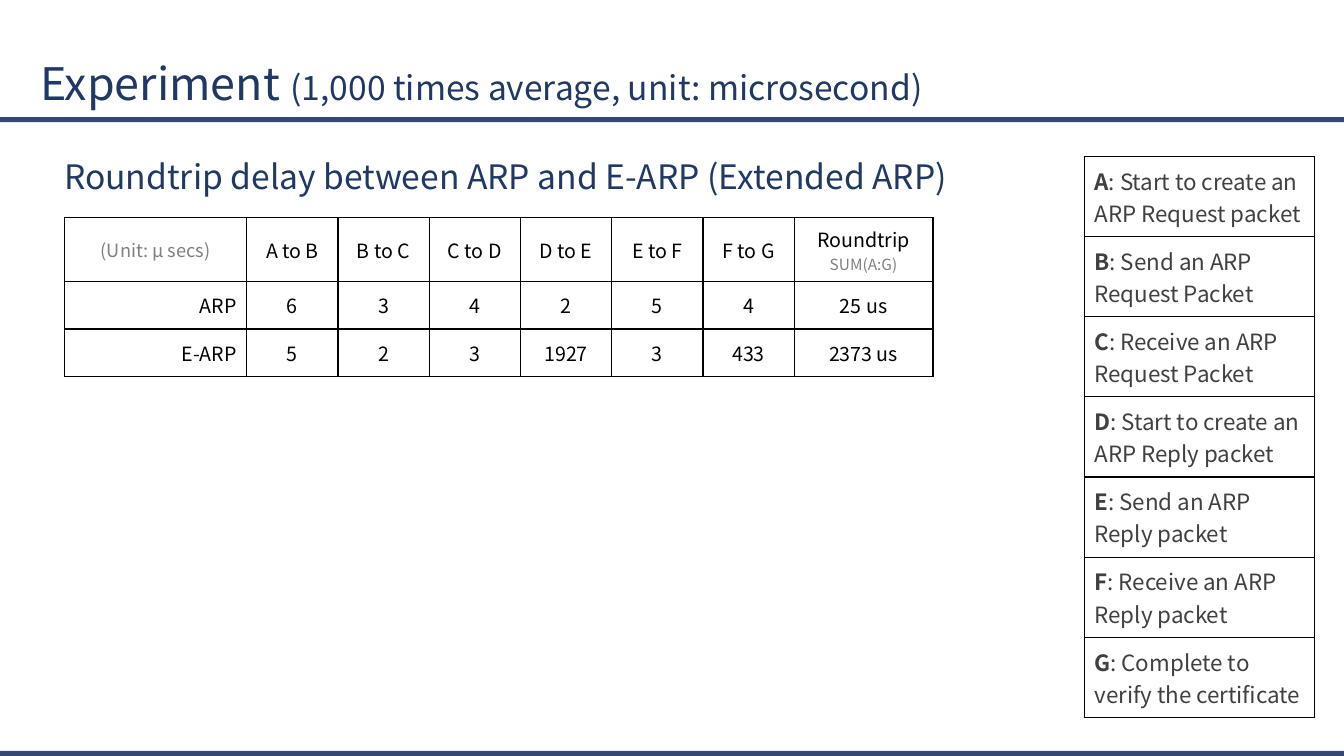
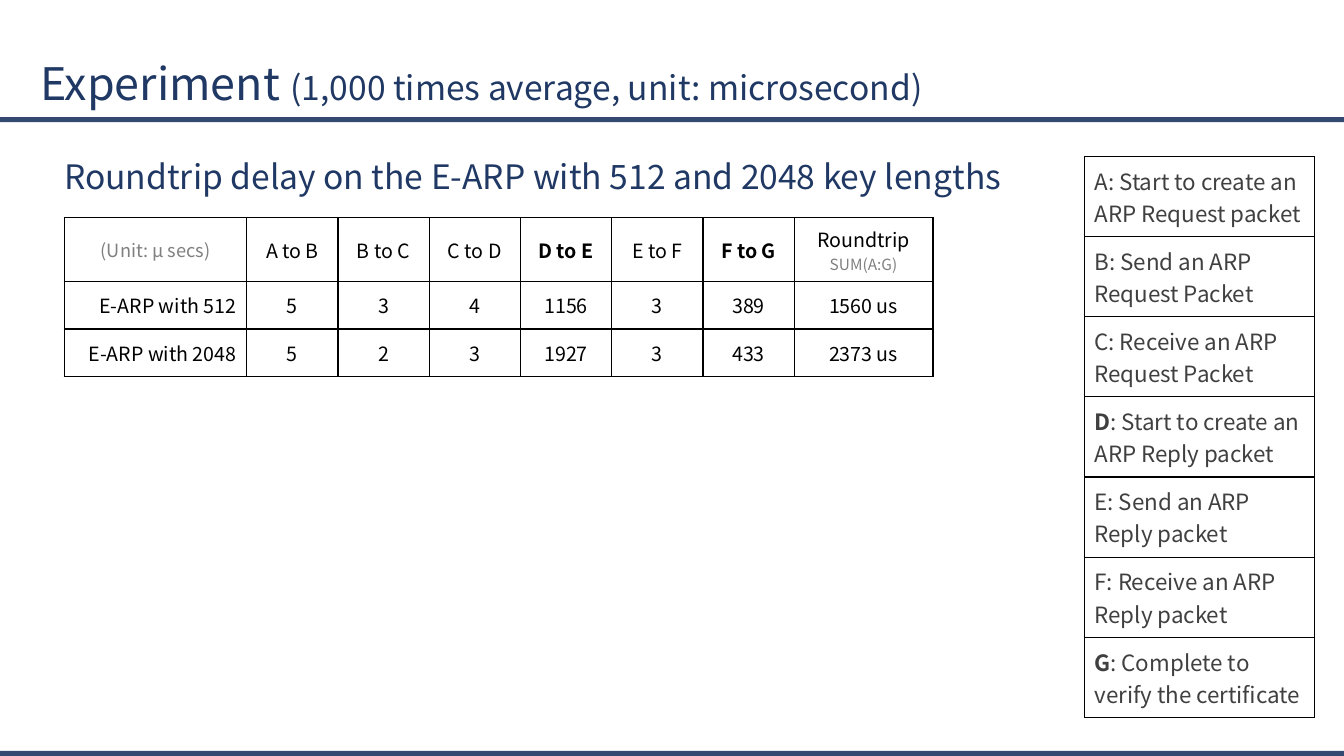
from dataclasses import dataclass
from itertools import product

from lxml import etree
from pptx import Presentation
from pptx.dml.color import RGBColor
from pptx.enum.shapes import MSO_SHAPE
from pptx.enum.text import MSO_ANCHOR, MSO_AUTO_SIZE, PP_ALIGN
from pptx.oxml import parse_xml
from pptx.oxml.ns import nsdecls, qn
from pptx.util import Cm, Pt

RECTANGLE = MSO_SHAPE.RECTANGLE
TOP, MIDDLE = MSO_ANCHOR.TOP, MSO_ANCHOR.MIDDLE
FIT_SHAPE = MSO_AUTO_SIZE.SHAPE_TO_FIT_TEXT
LEFT, CENTER, RIGHT = PP_ALIGN.LEFT, PP_ALIGN.CENTER, PP_ALIGN.RIGHT

FONT = "Noto Sans CJK KR"
COLORS = {"navy": "203864", "black": "000000", "gray": "808080", "charcoal": "404040"}
PAGE_WIDTH, PAGE_HEIGHT = Cm(33.87), Cm(19.05)
BAND_HEIGHT = Cm(0.13)
DELAY_COLUMNS = [Cm(4.6)] + [Cm(2.3)] * 6 + [Cm(3.5)]
DELAY_ROWS = [Cm(1.6), Cm(1.2), Cm(1.2)]

# Each step lists the paragraphs that follow its letter
STEPS = {
    "A": ["Start to create an ARP Request packet"],
    "B": ["Send an ARP Request Packet"],
    "C": ["Receive an ARP", "Request Packet"],
    "D": ["Start to create an ARP Reply packet"],
    "E": ["Send an ARP Reply packet"],
    "F": ["Receive an ARP Reply packet"],
    "G": ["Complete to verify the certificate"],
}
LETTERS = list(STEPS)
INTERVALS = [f"{start} to {end}" for start, end in zip(LETTERS, LETTERS[1:])]


@dataclass
class Span:
    text: str
    size: float | None = None
    bold: bool | None = None


@dataclass
class Line:
    spans: list[Span]
    size: float
    color: str
    align: PP_ALIGN = LEFT


@dataclass
class Experiment:
    heading: str
    results: list[list[str]]
    bold_intervals: set[str]
    bold_steps: set[str]


EXPERIMENTS = [
    Experiment(
        "Roundtrip delay between ARP and E-ARP (Extended ARP)",
        [["ARP", "6", "3", "4", "2", "5", "4", "25 us"],
         ["E-ARP", "5", "2", "3", "1927", "3", "433", "2373 us"]],
        set(), set(LETTERS)),
    Experiment(
        "Roundtrip delay on the E-ARP with 512 and 2048 key lengths",
        [["E-ARP with 512", "5", "3", "4", "1156", "3", "389", "1560 us"],
         ["E-ARP with 2048", "5", "2", "3", "1927", "3", "433", "2373 us"]],
        {"D to E", "F to G"}, {"D", "G"}),
]


def write_lines(frame, lines: list[Line]) -> None:
    for index, line in enumerate(lines):
        para = frame.add_paragraph() if index else frame.paragraphs[0]
        para.alignment = line.align
        para.font.name = FONT
        para.font.size = Pt(line.size)
        para.font.color.rgb = RGBColor.from_string(COLORS[line.color])
        for span in line.spans:
            run = para.add_run()
            run.text = span.text
            if span.size:
                run.font.size = Pt(span.size)
            if span.bold:
                run.font.bold = True


def add_text(page, left: Cm, top: Cm, width: Cm, height: Cm, line: Line, anchor=TOP):
    frame = page.shapes.add_textbox(left, top, width, height).text_frame
    frame.word_wrap = True
    frame.auto_size = FIT_SHAPE
    frame.vertical_anchor = anchor
    write_lines(frame, [line])
    return frame


def add_band(page, top: int) -> None:
    band = page.shapes.add_shape(RECTANGLE, 0, top, PAGE_WIDTH, BAND_HEIGHT)
    band.shadow.inherit = False
    band.line.fill.background()
    band.fill.solid()
    band.fill.fore_color.rgb = RGBColor.from_string(COLORS["navy"])
    color = band.fill._xPr.find(qn("a:solidFill"))[0]
    etree.SubElement(color, qn("a:alpha"), val="91000")


def add_borders(cell) -> None:
    properties = cell._tc.get_or_add_tcPr()
    for side in ("lnL", "lnR", "lnT", "lnB"):
        properties.append(parse_xml(
            f'<a:{side} {nsdecls("a")} w="{Pt(1)}"><a:solidFill>'
            f'<a:srgbClr val="{COLORS["black"]}"/></a:solidFill></a:{side}>'))


def add_grid(page, left: Cm, top: Cm, widths: list[Cm], heights: list[Cm],
             cells: list[list[list[Line]]]) -> None:
    table = page.shapes.add_table(len(heights), len(widths), left, top,
                                  sum(widths), sum(heights)).table
    table.first_row = table.horz_banding = False
    for column, width in zip(table.columns, widths):
        column.width = width
    for row, height in zip(table.rows, heights):
        row.height = height
    for row, column in product(range(len(heights)), range(len(widths))):
        cell = table.cell(row, column)
        add_borders(cell)
        cell.fill.background()
        cell.vertical_anchor = MIDDLE
        write_lines(cell.text_frame, cells[row][column])


def delay_cells(experiment: Experiment) -> list[list[list[Line]]]:
    header = [[Line([Span("(Unit: µ secs)")], 13, "gray", CENTER)]]
    header += [[Line([Span(name, bold=name in experiment.bold_intervals)], 14, "black", CENTER)]
               for name in INTERVALS]
    header.append([Line([Span("Roundtrip")], 14, "black", CENTER),
                   Line([Span("SUM(A:G)")], 11, "gray", CENTER)])
    body = [[[Line([Span(value)], 14, "black", CENTER if index else RIGHT)]
             for index, value in enumerate(result)] for result in experiment.results]
    return [header] + body


def step_lines(letter: str, bold: bool) -> list[Line]:
    first, *others = STEPS[letter]
    if bold:
        spans = [Span(letter, bold=True), Span(f": {first}")]
    else:
        spans = [Span(f"{letter}: {first}")]
    return [Line(group, 16, "charcoal") for group in [spans] + [[Span(text)] for text in others]]


def add_experiment(deck, experiment: Experiment) -> None:
    page = deck.slides.add_slide(deck.slide_layouts[6])

    # Title and bands
    title = Line([Span("Experiment ", 32),
                  Span("(1,000 times average, unit: microsecond)", 24)], 32, "navy")
    frame = add_text(page, Cm(0.76), Cm(0), Cm(31.14), Cm(2.92), title)
    frame.paragraphs[0].line_spacing = Pt(75)
    for top in (Cm(2.95), PAGE_HEIGHT - BAND_HEIGHT):
        add_band(page, top)

    # Heading and measured delays
    add_text(page, Cm(1.37), Cm(3.81), Cm(29.95), Cm(1.27),
             Line([Span(experiment.heading)], 24, "navy"), MIDDLE)
    add_grid(page, Cm(1.62), Cm(5.49), DELAY_COLUMNS, DELAY_ROWS, delay_cells(experiment))

    # Legend of the steps
    legend = [[step_lines(letter, letter in experiment.bold_steps)] for letter in LETTERS]
    add_grid(page, Cm(27.33), Cm(3.94), [Cm(5.8)], [Cm(2.02)] * len(LETTERS), legend)


def main() -> None:
    deck = Presentation()
    deck.slide_width, deck.slide_height = PAGE_WIDTH, PAGE_HEIGHT
    for experiment in EXPERIMENTS:
        add_experiment(deck, experiment)
    deck.save("out.pptx")


if __name__ == "__main__":
    main()
